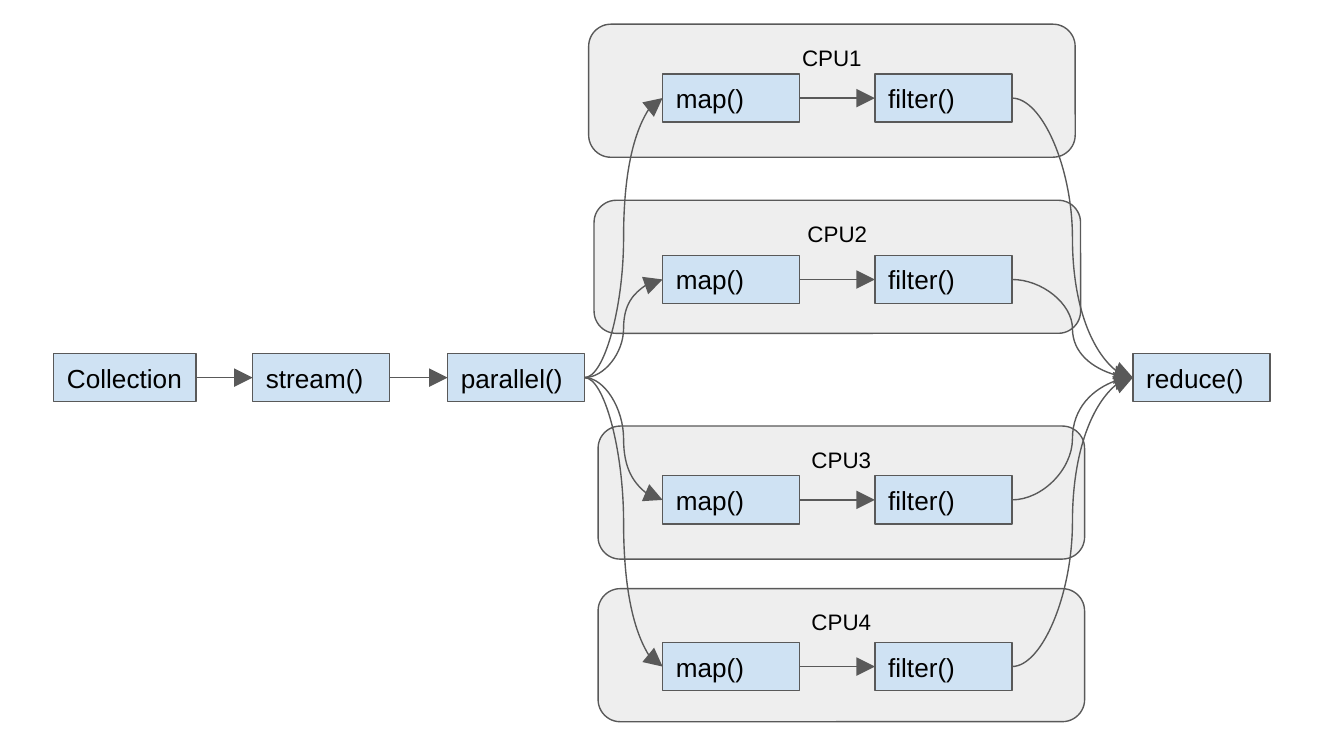
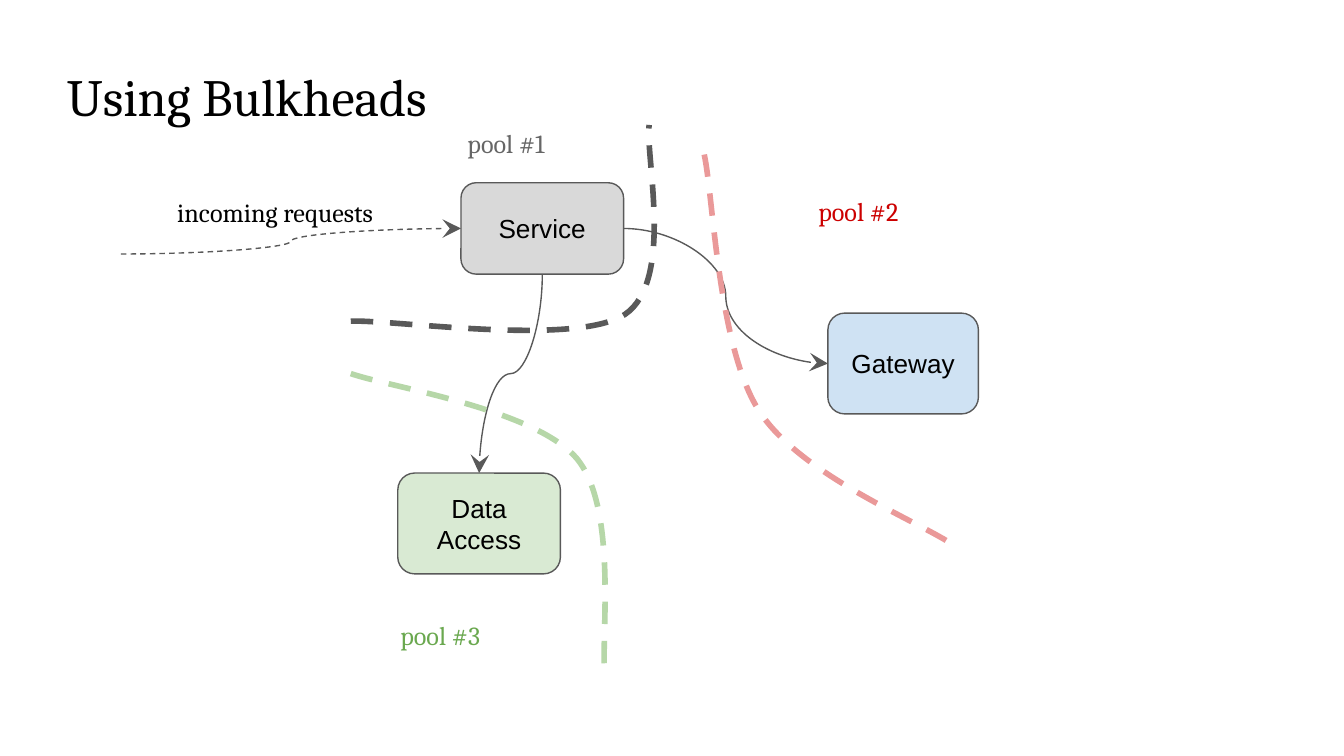
"""Builds two diagrams: a parallel stream pipeline and services split by bulkheads."""
import pptx
import pptx.dml.color
import pptx.enum.dml
import pptx.enum.shapes
import pptx.enum.text
import pptx.oxml
import pptx.oxml.ns
import pptx.util
from pptx.util import Inches

COLORS = {
    "ink": "000000", "line": "595959", "lane": "EEEEEE", "blue": "CFE2F3",
    "gray": "D9D9D9", "green": "D9EAD3", "label_gray": "666666",
    "label_red": "CC0000", "label_green": "6AA84F",
    "wall_green": "B6D7A8", "wall_red": "EA9999",
}
SHAPE = pptx.enum.shapes.MSO_SHAPE
CONNECTOR = pptx.enum.shapes.MSO_CONNECTOR
ANCHOR = pptx.enum.text.MSO_ANCHOR
ALIGN = pptx.enum.text.PP_ALIGN
DASH = pptx.enum.dml.MSO_LINE.DASH
TOP, LEFT, BOTTOM, RIGHT = range(4)
INSET = 0.1
STEP_WIDTH, STEP_HEIGHT = 1.02, 0.36


def rgb(name):
    """Return the named colour."""
    return pptx.dml.color.RGBColor.from_string(COLORS[name])


def write(shape, text, size, font, color="ink", anchor=ANCHOR.MIDDLE, align=ALIGN.LEFT):
    """Put formatted text into a shape."""
    frame = shape.text_frame
    frame.word_wrap = True
    frame.vertical_anchor = anchor
    frame.margin_left = frame.margin_right = Inches(INSET)
    frame.margin_top = frame.margin_bottom = Inches(INSET)
    frame.text = text
    paragraph = frame.paragraphs[0]
    paragraph.alignment = align
    for run in paragraph.runs:
        run.font.size = pptx.util.Pt(size)
        run.font.name = font
        run.font.color.rgb = rgb(color)


def add_node(slide, kind, box, text, fill, size=14, **text_style):
    """Add an outlined, filled node with a caption."""
    node = slide.shapes.add_shape(kind, *map(Inches, box))
    node.shadow.inherit = False
    node.fill.solid()
    node.fill.fore_color.rgb = rgb(fill)
    node.line.color.rgb = rgb("line")
    node.line.width = pptx.util.Pt(0.75)
    write(node, text, size, "Arial", **text_style)
    return node


def add_step(slide, left, top, text, width=STEP_WIDTH):
    """Add one pipeline step."""
    return add_node(slide, SHAPE.RECTANGLE, (left, top, width, STEP_HEIGHT), text, "blue")


def add_label(slide, box, text, color="ink", size=14, anchor=ANCHOR.TOP):
    """Add a free-standing serif label."""
    label = slide.shapes.add_textbox(*map(Inches, box))
    write(label, text, size, "Cambria", color, anchor)


def turn_upright(connector):
    """Make a curve leave and arrive vertically, heading down and left."""
    left, top, width, height = connector.left, connector.top, connector.width, connector.height
    frame = connector.element.spPr.find(pptx.oxml.ns.qn("a:xfrm"))
    frame.attrib.pop("flipH", None)
    frame.set("rot", "5400000")
    connector.left = left + (width - height) // 2
    connector.top = top + (height - width) // 2
    connector.width, connector.height = height, width


def add_arrow(slide, target, source=None, start=(0, 0), kind=CONNECTOR.CURVE,
              head="triangle", sides=(RIGHT, LEFT), dash=None):
    """Join a source node, or a free starting point, to a target node."""
    x, y = map(Inches, start)
    arrow = slide.shapes.add_connector(kind, x, y, x, y)
    if source is not None:
        arrow.begin_connect(source, sides[0])
    arrow.end_connect(target, sides[1])
    if sides == (BOTTOM, TOP):
        turn_upright(arrow)
    arrow.line.color.rgb = rgb("line")
    arrow.line.width = pptx.util.Pt(0.75)
    if dash:
        arrow.line.dash_style = dash
    properties = arrow.element.spPr
    outline = properties.find(pptx.oxml.ns.qn("a:ln"))
    namespace = pptx.oxml.ns.nsdecls("a")
    outline.append(pptx.oxml.parse_xml(
        f'<a:tailEnd {namespace} type="{head}" w="lg" len="lg"/>'))
    properties.append(pptx.oxml.parse_xml(f"<a:effectLst {namespace}/>"))


def add_wall(slide, origin, start, curves, color):
    """Draw a dashed bulkhead through cubic curves of three points each."""
    def place(point):
        return tuple(Inches(base + offset) for base, offset in zip(origin, point))

    builder = slide.shapes.build_freeform(*place(start))
    builder.add_line_segments([place(curve[-1]) for curve in curves], close=False)
    wall = builder.convert_to_shape()
    wall.shadow.inherit = False
    wall.fill.background()
    wall.line.color.rgb = rgb(color)
    wall.line.width = pptx.util.Pt(3)
    wall.line.dash_style = DASH
    segments = list(wall.element.iter(pptx.oxml.ns.qn("a:lnTo")))
    for segment, curve in zip(segments, curves):
        points = "".join(f'<a:pt x="{x - wall.left}" y="{y - wall.top}"/>'
                         for x, y in map(place, curve))
        bend = pptx.oxml.parse_xml(
            f'<a:cubicBezTo {pptx.oxml.ns.nsdecls("a")}>{points}</a:cubicBezTo>')
        segment.getparent().replace(segment, bend)


def add_lane(slide, box, name):
    """Add the backdrop of one CPU."""
    add_node(slide, SHAPE.ROUNDED_RECTANGLE, box, name, "lane", size=12,
             anchor=ANCHOR.TOP, align=ALIGN.CENTER)


def build_pipeline(slide, box):
    """Lay out the stream that forks over four lanes and joins again."""
    left, top = box[:2]
    lanes = [(3.98, 0), (4.02, 1.31), (4.05, 2.99), (4.05, 4.2)]
    for number, (x, y) in reversed(list(enumerate(lanes, 1))):
        add_lane(slide, (left + x, top + y, 3.62, 0.99), f"CPU{number}")

    row = top + 2.45
    stream = add_step(slide, left + 1.48, row, "stream()")
    collection = add_step(slide, left, row, "Collection", 1.06)
    parallel = add_step(slide, left + 2.93, row, "parallel()")
    reduction = add_step(slide, left + 8.03, row, "reduce()")
    add_arrow(slide, stream, collection, kind=CONNECTOR.STRAIGHT)
    add_arrow(slide, parallel, stream, kind=CONNECTOR.STRAIGHT)

    for y in (0.37, 1.72, 3.36, 4.6):
        mapping = add_step(slide, left + 4.53, top + y, "map()")
        filtering = add_step(slide, left + 6.11, top + y, "filter()")
        add_arrow(slide, mapping, parallel)
        add_arrow(slide, filtering, mapping, kind=CONNECTOR.STRAIGHT)
        add_arrow(slide, reduction, filtering)


def build_bulkheads(slide, box):
    """Lay out three services, the walls between them and their pool labels."""
    left, top = box[:2]

    def add_service(x, y, width, height, text, fill):
        return add_node(slide, SHAPE.ROUNDED_RECTANGLE, (left + x, top + y, width, height),
                        text, fill, align=ALIGN.CENTER)

    service = add_service(3.03, 0.98, 1.21, 0.68, "Service", "gray")
    data_access = add_service(2.56, 3.14, 1.21, 0.75, "Data Access", "green")
    gateway = add_service(5.76, 1.95, 1.12, 0.75, "Gateway", "blue")
    add_arrow(slide, data_access, service, head="stealth", sides=(BOTTOM, TOP))
    add_arrow(slide, gateway, service, head="stealth")

    walls = [
        ("wall_green", (2.21, 2.4), [[(2.49, 2.5), (3.57, 2.66), (3.89, 3.03)],
                                     [(4.2, 3.4), (4.07, 4.37), (4.1, 4.64)]]),
        ("wall_red", (4.84, 0.77), [[(4.91, 1.09), (4.94, 2.2), (5.25, 2.68)],
                                    [(5.56, 3.16), (6.46, 3.51), (6.7, 3.68)]]),
        ("line", (2.21, 2.01), [[(2.55, 2), (3.88, 2.2), (4.25, 1.96)],
                                [(4.62, 1.71), (4.4, 0.78), (4.43, 0.55)]]),
    ]
    for color, start, curves in walls:
        add_wall(slide, (left, top), start, curves, color)

    add_label(slide, (left, top, 4.68, 0.55), "Using Bulkheads", size=28)
    add_arrow(slide, service, start=(left + 0.5, top + 1.51), head="stealth", dash=DASH)
    labels = [
        ("incoming requests", "ink", (0.82, 0.98, 2.06, 0.55), ANCHOR.TOP),
        ("pool #2", "label_red", (5.59, 0.97, 4.68, 0.55), ANCHOR.TOP),
        ("pool #3", "label_green", (2.48, 4.16, 1.21, 0.37), ANCHOR.MIDDLE),
        ("pool #1", "label_gray", (2.98, 0.5, 1.21, 0.37), ANCHOR.MIDDLE),
    ]
    for text, color, (x, y, width, height), anchor in labels:
        add_label(slide, (left + x, top + y, width, height), text, color, anchor=anchor)


def main():
    """Build and save both slides."""
    deck = pptx.Presentation()
    deck.slide_width = Inches(10)
    deck.slide_height = deck.slide_width * 9 // 16
    blank = deck.slide_layouts[6]
    build_pipeline(deck.slides.add_slide(blank), (0.4, 0.18, 9.05, 5.19))
    build_bulkheads(deck.slides.add_slide(blank), (0.4, 0.38, 9.2, 4.64))
    deck.save("out.pptx")


if __name__ == "__main__":
    main()
